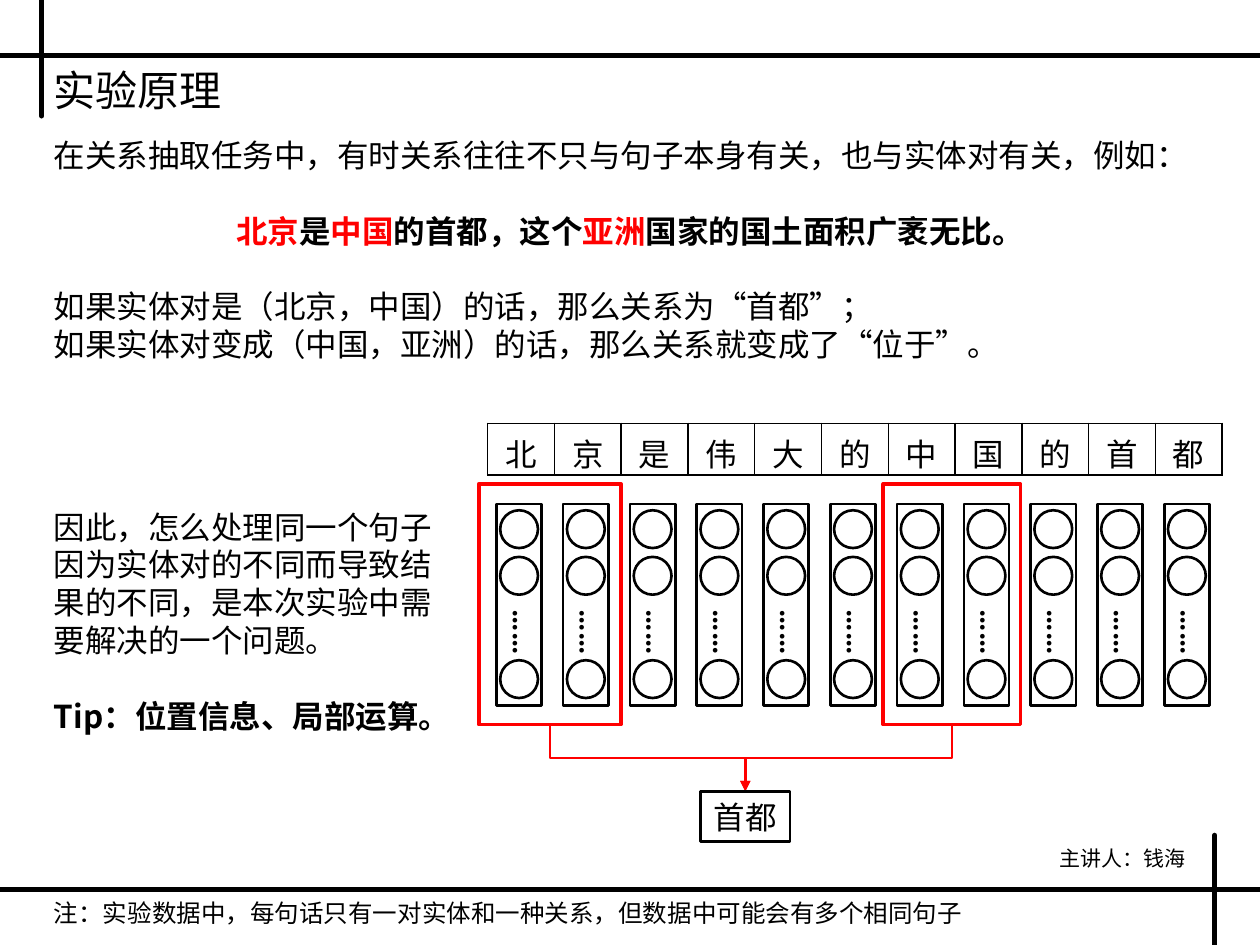
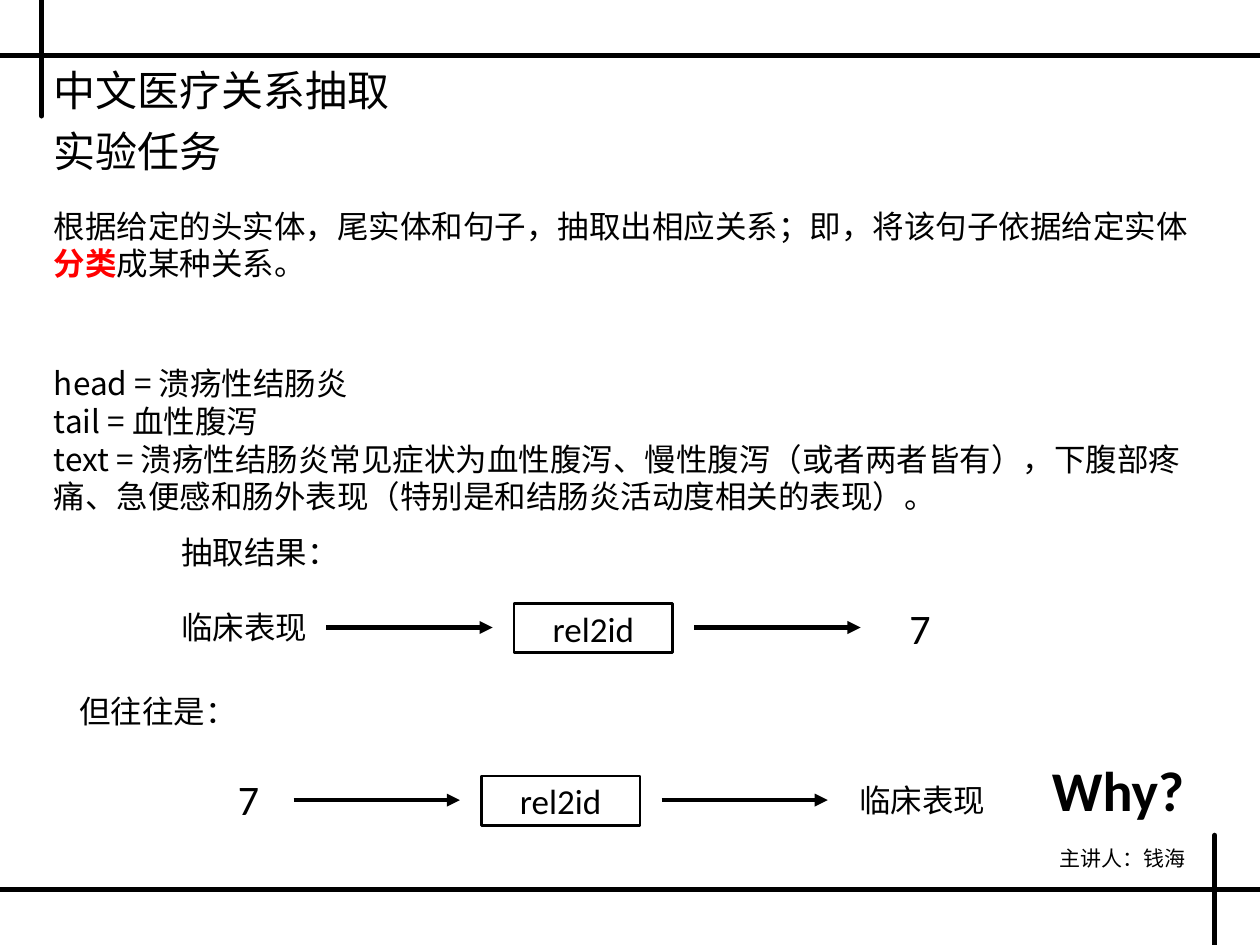
from dataclasses import dataclass

from lxml import etree
from pptx import Presentation
from pptx import util as u
from pptx.dml.color import RGBColor
from pptx.enum import shapes, text
from pptx.oxml.ns import qn

BLACK = RGBColor(0x00, 0x00, 0x00)
RED = RGBColor(0xFF, 0x00, 0x00)
CJK, LATIN = "Noto Sans CJK SC", "Calibri"
COLUMNS, ROWS = 100, 75  # slide grid of square cells
MARGIN = 3.3
LINE_FACTOR = 1.2
BODY, TITLE = 18, 24
KEYWORD = {"bold": True, "color": RED}
STRONG = {"bold": True}

CHARACTERS = "北京是伟大的中国的首都"
TOKEN_LEFT, TOKEN_STEP = 38.7, 5.3
RULES = [  # x1, y1, x2, y2
    (MARGIN, 0, MARGIN, 9.2),
    (0, 4.4, COLUMNS, 4.4),
    (96.4, 66.3, 96.4, ROWS),
    (0, 70.6, COLUMNS, 70.6),
]


@dataclass
class Para:
    """Runs of (text, format); gap is the space before, in lines."""
    runs: list
    align: text.PP_ALIGN = text.PP_ALIGN.LEFT
    gap: float = 0


def cells(*counts):
    return [u.Inches(count / 10) for count in counts]


def plain(words, **options):
    return Para([(words, {})], **options)


def style_run(run, size, font, east_asian, bold=False, color=BLACK):
    values = {"name": font, "size": u.Pt(size), "bold": bold}
    for name, value in values.items():
        setattr(run.font, name, value)
    run.font.color.rgb = color
    latin = run.font._element.find(qn("a:latin"))
    ea = etree.Element(qn("a:ea"), typeface=east_asian)
    latin.addnext(ea)


def write(frame, paras, size=BODY, font=CJK, east_asian=CJK, exact=True):
    for index, para in enumerate(paras):
        target = frame.add_paragraph() if index else frame.paragraphs[0]
        target.alignment = para.align
        if exact:
            target.line_spacing = u.Pt(size * LINE_FACTOR)
        if para.gap:
            target.space_before = u.Pt(size * LINE_FACTOR * para.gap)
        for words, extra in para.runs:
            run = target.add_run()
            run.text = words
            style_run(run, size, font, east_asian, **extra)


def text_block(parent, box, paras, wrap=True, **style):
    frame = parent.shapes.add_textbox(*cells(*box)).text_frame
    frame.word_wrap = wrap
    frame.auto_size = text.MSO_AUTO_SIZE.SHAPE_TO_FIT_TEXT
    write(frame, paras, **style)
    return frame


def label(parent, box, words, **style):
    return text_block(parent, box, [plain(words)], wrap=False, **style)


def outline(parent, kind, box, color=BLACK, weight=1.5):
    shape = parent.shapes.add_shape(kind, *cells(*box))
    shape.shadow.inherit = False
    shape.fill.background()
    shape.line.color.rgb = color
    shape.line.width = u.Pt(weight)
    return shape


def named_box(slide, box, words, size):
    frame = outline(slide, shapes.MSO_SHAPE.RECTANGLE, box).text_frame
    frame.word_wrap = False
    frame.vertical_anchor = text.MSO_ANCHOR.MIDDLE
    write(frame, [plain(words, align=text.PP_ALIGN.CENTER)], size, LATIN)


def connector(slide, ends, weight, color=BLACK, arrow=False, round_cap=False,
              kind=shapes.MSO_CONNECTOR.STRAIGHT):
    link = slide.shapes.add_connector(kind, *cells(*ends))
    link.line.color.rgb = color
    link.line.width = u.Pt(weight)
    line = link.line._get_or_add_ln()
    if round_cap:
        line.set("cap", "rnd")
    if arrow:
        etree.SubElement(line, qn("a:tailEnd"), type="triangle")
    etree.SubElement(link._element.spPr, qn("a:effectLst"))
    return link


def elbow_down(slide, x1, y1, x2, y2):
    """Red arrow that leaves downwards, runs sideways and arrives downwards."""
    link = connector(slide, (x1, y1, x2, y2), 1.5, RED, arrow=True,
                     kind=shapes.MSO_CONNECTOR.ELBOW)
    span, drop = abs(x2 - x1), y2 - y1
    place = cells((x1 + x2 - drop) / 2, (y1 + y2 - span) / 2, drop, span)
    for name, value in zip(("left", "top", "width", "height"), place):
        setattr(link, name, value)
    xfrm = link._element.spPr.find(qn("a:xfrm"))
    rightward = x1 < x2
    xfrm.set("rot", str((270 if rightward else 90) * 60000))
    xfrm.set("flipH", "1" if rightward else "0")


def border_cell(cell):
    props = cell._tc.get_or_add_tcPr()
    for place, side in enumerate(("lnL", "lnR", "lnT", "lnB")):
        line = etree.Element(qn(f"a:{side}"), w=str(u.Pt(1)))
        fill = etree.SubElement(line, qn("a:solidFill"))
        etree.SubElement(fill, qn("a:srgbClr"), val=str(BLACK))
        props.insert(place, line)


def sentence_table(slide):
    count = len(CHARACTERS)
    box = cells(TOKEN_LEFT, 33.6, TOKEN_STEP * count, 4.1)
    table = slide.shapes.add_table(1, count, *box).table
    table.first_row = table.horz_banding = False
    for cell, character in zip(table.rows[0].cells, CHARACTERS):
        cell.fill.background()
        cell.vertical_anchor = text.MSO_ANCHOR.MIDDLE
        write(cell.text_frame, [plain(character, align=text.PP_ALIGN.CENTER)],
              font=LATIN, exact=False)
        border_cell(cell)


def token_vector(slide, left):
    group = slide.shapes.add_group_shape()
    outline(group, shapes.MSO_SHAPE.RECTANGLE, (left + 0.7, 40, 3.6, 16))
    for top in (40.5, 44.2, 52.4):
        outline(group, shapes.MSO_SHAPE.OVAL, (left + 1, top, 3, 3))
    dots = label(group, (left, 47.4, 5, 5.1), "……", font=LATIN,
                 east_asian=LATIN)
    dots._txBody.bodyPr.set("vert", "eaVert")
    dots.paragraphs[0].runs[0].font.bold = True


def entity_relation(slide):
    """Frames both entities and leads them to their relation."""
    top, height = 38.4, 19.1
    relation_left, relation_top, relation_width = 55.6, 62.8, 7.1
    for left, width in ((38, 11.3), (70.1, 10.9)):
        outline(slide, shapes.MSO_SHAPE.RECTANGLE,
                (left, top, width, height), RED, 2)
        elbow_down(slide, left + width / 2, top + height,
                   relation_left + relation_width / 2, relation_top)
    named_box(slide, (relation_left, relation_top, relation_width, 4),
              "首都", BODY)


def id_flow(slide, left, middle):
    """Arrow into the rel2id box and arrow out of it."""
    for start in (left, left + 29.2):
        connector(slide, (start, middle, start + 13.2, middle), 2.5,
                  arrow=True)
    named_box(slide, (left + 14.9, middle - 1.9, 12.6, 3.9), "rel2id", 20)


def framed_slide(deck, title):
    slide = deck.slides.add_slide(deck.slide_layouts[6])
    for ends in RULES:
        connector(slide, ends, 3, round_cap=True)
    label(slide, (83.1, 66.6, 12.1, 3), "主讲人：钱海", size=12)
    text_block(slide, (MARGIN, 4.6, 78.8, 4.6), [plain(title)], size=TITLE)
    return slide


def principle_slide(deck):
    slide = framed_slide(deck, "实验原理")
    example = [("北京", KEYWORD), ("是", STRONG), ("中国", KEYWORD),
               ("的首都，这个", STRONG), ("亚洲", KEYWORD),
               ("国家的国土面积广袤无比。", STRONG)]
    text_block(slide, (MARGIN, 10.3, 93.4, 19.2), [
        plain("在关系抽取任务中，有时关系往往不只与句子本身有关，也与实体对有关，例如："),
        Para(example, align=text.PP_ALIGN.CENTER, gap=1),
        plain("如果实体对是（北京，中国）的话，那么关系为“首都”；", gap=1),
        plain("如果实体对变成（中国，亚洲）的话，那么关系就变成了“位于”。"),
    ])
    text_block(slide, (MARGIN, 39.8, 32.1, 19.2), [
        plain("因此，怎么处理同一个句子因为实体对的不同而导致结果的不同，"
              "是本次实验中需要解决的一个问题。"),
        Para([("Tip：位置信息、局部运算。", STRONG)], gap=1),
    ])
    sentence_table(slide)
    for index in range(len(CHARACTERS)):
        token_vector(slide, TOKEN_LEFT + TOKEN_STEP * index)
    entity_relation(slide)
    label(slide, (MARGIN, 70.8, 76.6, 3.4),
          "注：实验数据中，每句话只有一对实体和一种关系，但数据中可能会有多个相同句子",
          size=14)


def task_slide(deck):
    slide = framed_slide(deck, "中文医疗关系抽取")
    label(slide, (MARGIN, 9.5, 15.5, 5), "实验任务", size=TITLE)
    text_block(slide, (MARGIN, 15.9, 93.6, 7.1), [Para([
        ("根据给定的头实体，尾实体和句子，抽取出相应关系；即，将该句子依据给定实体", {}),
        ("分类", KEYWORD),
        ("成某种关系。", {}),
    ])])
    text_block(slide, (MARGIN, 28.4, 91.9, 13.1), [
        plain("head = 溃疡性结肠炎"),
        plain("tail = 血性腹泻"),
        plain("text = 溃疡性结肠炎常见症状为血性腹泻、慢性腹泻（或者两者皆有），"
              "下腹部疼痛、急便感和肠外表现（特别是和结肠炎活动度相关的表现）。"),
    ])
    text_block(slide, (13.4, 41.8, 14.6, 10.1),
               [plain("抽取结果："), plain("临床表现", gap=1)],
               wrap=False, font=LATIN)
    id_flow(slide, 25.9, 49.8)
    id_flow(slide, 23.3, 63.5)
    for left, top in ((71.2, 47.3), (17.9, 60.9)):
        label(slide, (left, top, 3.7, 5), "7", size=TITLE, font=LATIN)
    label(slide, (5.3, 54.4, 14.6, 4), "但往往是：", font=LATIN)
    label(slide, (67.2, 61.5, 12.1, 4), "临床表现", font=LATIN)
    text_block(slide, (82.5, 59.5, 12.6, 6.4), [Para([("Why?", STRONG)])],
               wrap=False, size=32, font=LATIN)


def main():
    deck = Presentation()
    deck.slide_width, deck.slide_height = cells(COLUMNS, ROWS)
    principle_slide(deck)
    task_slide(deck)
    deck.save("out.pptx")


if __name__ == "__main__":
    main()
